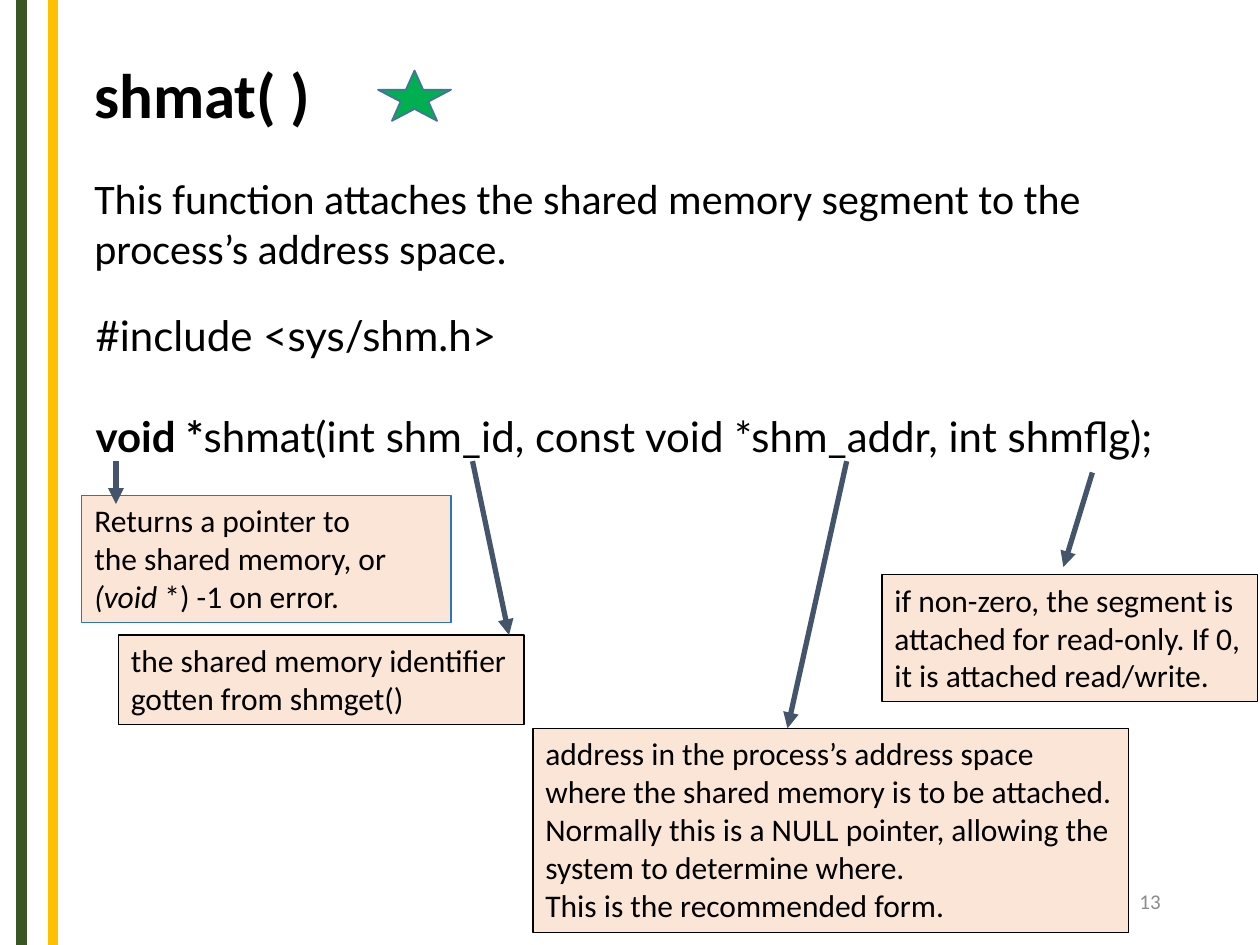
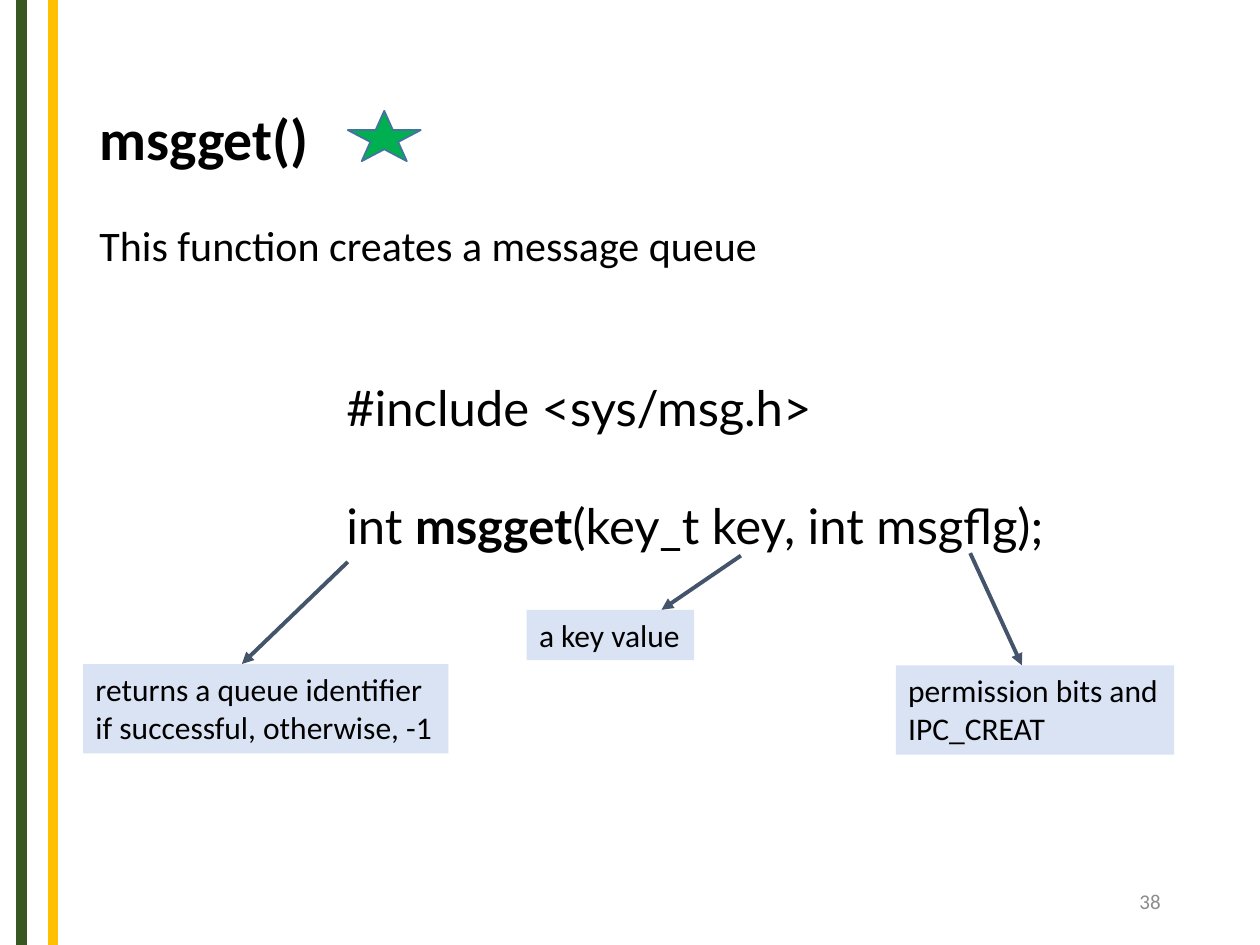
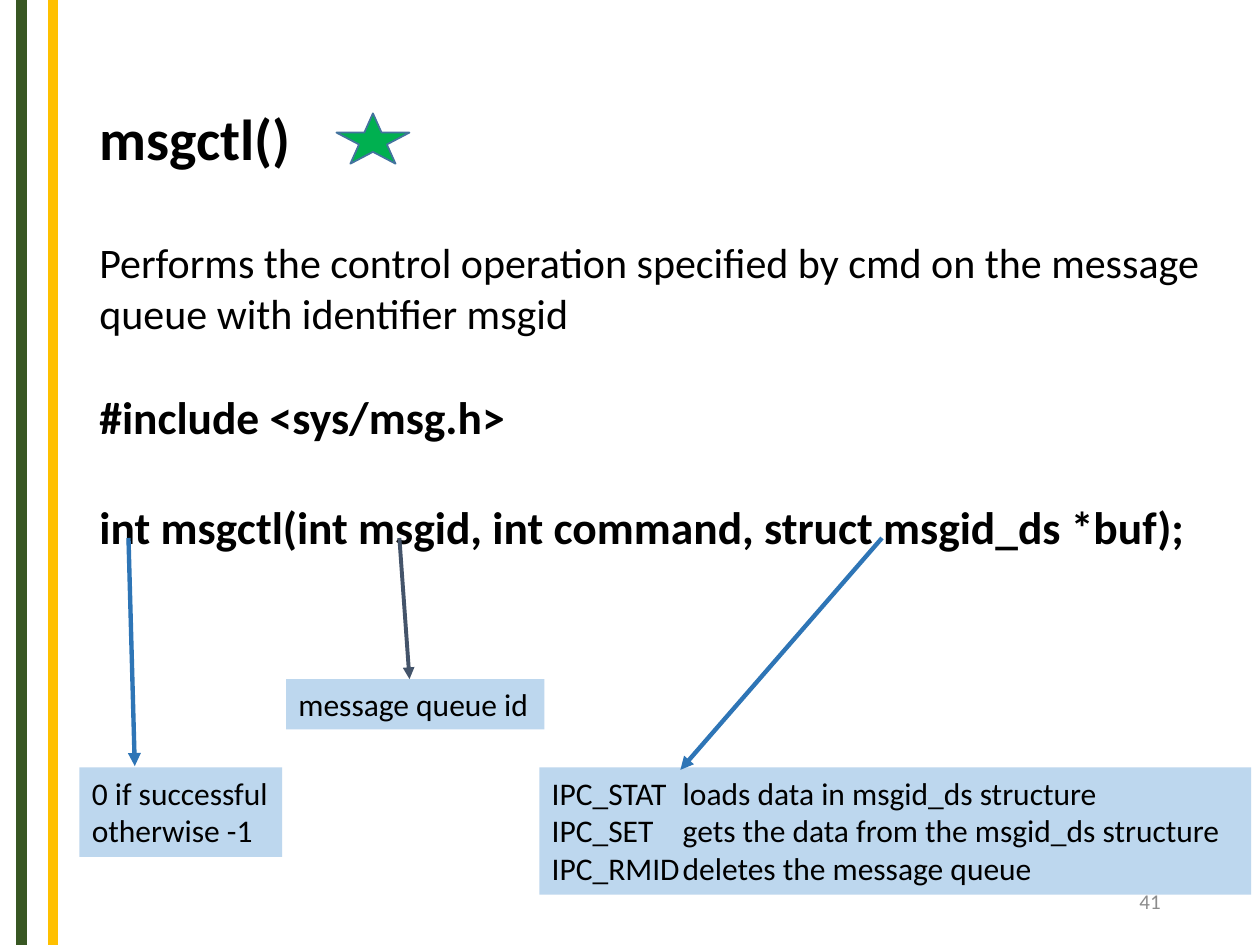
from dataclasses import dataclass, field

from lxml import etree
from pptx import Presentation
from pptx.dml.color import RGBColor
from pptx.enum.shapes import MSO_CONNECTOR as CONN, MSO_SHAPE as SHAPE
from pptx.enum.text import MSO_ANCHOR as ANCHOR, PP_ALIGN as ALIGN
from pptx.oxml.ns import qn
from pptx.util import Inches, Pt

BLACK, GREY, SLATE, BLUE = "000000", "8C8C8C", "44546A", "2E75B6"
GREEN_BAND, GOLD_BAND = "385723", "FFC000"
STAR_FILL, STAR_LINE = "00B050", "43739E"
PEACH, PALE_BLUE, SKY = "FBE5D6", "DAE3F3", "BDD7EE"
PAGE_W, PAGE_H = 10, 7.5
BODY = {"name": "Calibri", "size": Pt(24), "bold": False}
TITLE = {**BODY, "size": Pt(36), "bold": True}
NOTE = {**BODY, "size": Pt(18)}
NUMBER = {**BODY, "size": Pt(12)}
CODE = {**BODY, "name": "Lato"}


@dataclass
class Line:
    """One paragraph: plain text, or a list of (text, font changes)."""
    runs: object
    gap: float = 0
    fmt: dict = field(default_factory=dict)


def rgb(hex_color):
    return RGBColor.from_string(hex_color)


def inches(values):
    return [Inches(v) for v in values]


def write(sp, lines, fmt, color=BLACK, anchor=ANCHOR.TOP, align=ALIGN.LEFT,
          spacing=1.0):
    tf = sp.text_frame
    tf.word_wrap = True
    tf.vertical_anchor = anchor
    for i, line in enumerate(lines):
        line = line if isinstance(line, Line) else Line(line)
        p = tf.paragraphs[0] if i == 0 else tf.add_paragraph()
        p.alignment, p.line_spacing = align, spacing
        p.space_before = Pt(line.gap)
        runs = [(line.runs, {})] if isinstance(line.runs, str) else line.runs
        for text, changes in runs:
            r = p.add_run()
            r.text = text
            r.font.color.rgb = rgb(color)
            for key, value in {**fmt, **line.fmt, **changes}.items():
                setattr(r.font, key, value)


def text_box(slide, box, lines, fmt=BODY, **options):
    write(slide.shapes.add_textbox(*inches(box)), lines, fmt, **options)


def filled_shape(slide, kind, box, fill, line=None, width=0.75):
    sp = slide.shapes.add_shape(kind, *inches(box))
    sp.shadow.inherit = False
    sp.fill.solid()
    sp.fill.fore_color.rgb = rgb(fill)
    if line:
        sp.line.color.rgb = rgb(line)
        sp.line.width = Pt(width)
    else:
        sp.line.fill.background()
    return sp


def straight_line(slide, start, end, color, width, arrow=False):
    c = slide.shapes.add_connector(CONN.STRAIGHT, *inches((*start, *end)))
    c.line.color.rgb = rgb(color)
    c.line.width = Pt(width)
    if arrow:
        etree.SubElement(c.line._get_or_add_ln(), qn("a:tailEnd"), type="triangle")
    etree.SubElement(c._element.spPr, qn("a:effectLst"))


def set_tab(sp, position):
    for p in sp.text_frame.paragraphs:
        tabs = etree.SubElement(p._p.get_or_add_pPr(), qn("a:tabLst"))
        etree.SubElement(tabs, qn("a:tab"), pos=str(Inches(position)), algn="l")


def note(slide, box, lines, fill, start, tip, line=None, arrow=SLATE, width=2.25,
         tab=None):
    """Callout with an arrow from start to tip, the tip measured from the box."""
    sp = filled_shape(slide, SHAPE.RECTANGLE, box, fill, line)
    write(sp, lines, NOTE)
    if tab:
        set_tab(sp, tab)
    end = box[0] + tip[0], box[1] + tip[1]
    straight_line(slide, start, end, arrow, width, arrow=True)


def bands(slide):
    for x, color in ((0.17, GREEN_BAND), (0.42, GOLD_BAND)):
        straight_line(slide, (x, 0), (x, PAGE_H), color, 6)


def heading(slide, left, top, text, star_offset, size=33):
    text_box(slide, (left, top, 8.62, 1.45), [text], {**TITLE, "size": Pt(size)},
             anchor=ANCHOR.MIDDLE, spacing=0.9)
    dx, dy = star_offset
    filled_shape(slide, SHAPE.STAR_5_POINT, (left + dx, top + dy, 0.58, 0.4),
                 STAR_FILL, STAR_LINE, 1)


def new_slide(prs, number):
    slide = prs.slides.add_slide(prs.slide_layouts[6])
    bands(slide)
    text_box(slide, (7.06, 6.95, 2.25, 0.4), [number], NUMBER, color=GREY,
             anchor=ANCHOR.MIDDLE, align=ALIGN.RIGHT)
    return slide


def shmat_slide(prs):
    s = new_slide(prs, "13")
    heading(s, 0.65, 0.05, "shmat( )", (2.35, 0.51), size=36)
    text_box(s, (0.65, 1.32, 8.27, 0.91), [
        "This function attaches the shared memory segment to the process’s address space."])
    text_box(s, (0.66, 2.41, 9.18, 1.31), [
        "#include <sys/shm.h>",
        Line([("void *", {"bold": True}),
              ("shmat(int shm_id, const void *shm_addr, int shmflg);", {})], gap=28.8),
    ], CODE)

    # Return value and arguments
    for box, start, tip, border, lines in (
        ((0.94, 5.04, 3.22, 0.71), (3.75, 3.66), (3.1, 0), BLACK,
         ["the shared memory identifier", "gotten from shmget()"]),
        ((4.23, 5.78, 4.73, 1.62), (6.72, 3.66), (2.02, 0), BLACK,
         ["address in the process’s address space where the shared memory is to be "
          "attached. Normally this is a NULL pointer, allowing the",
          "system to determine where.", "This is the recommended form."]),
        ((0.65, 3.93, 2.93, 1.01), (0.92, 3.66), (0.27, 0.07), BLUE,
         ["Returns a pointer to", "the shared memory, or",
          Line([("(void ", {"italic": True}), ("*) -1 on error.", {})])]),
        ((7, 4.56, 2.98, 1.01), (8.67, 3.75), (1.44, -0.06), BLACK,
         ["if non-zero, the segment is", "attached for read-only. If 0,",
          "it is attached read/write."]),
    ):
        note(s, box, lines, PEACH, start, tip, line=border, width=3)


def msgget_slide(prs):
    s = new_slide(prs, "38")
    heading(s, 0.69, 0.4, "msgget()", (2.07, 0.48))
    text_box(s, (0.69, 1.69, 5.48, 0.5), ["This function creates a message queue"])
    text_box(s, (2.65, 2.95, 6.26, 1.51), [
        "#include <sys/msg.h>",
        Line([("int ", {}), ("msgget", {"bold": True}),
              ("(key_t key, int msgflg);", {})], gap=33.6),
    ], {**CODE, "size": Pt(28)})

    # Return value and arguments
    for box, start, tip, lines in (
        ((0.66, 5.27, 2.9, 0.71), (2.76, 4.46), (1.26, 0),
         ["returns a queue identifier", "if successful, otherwise, -1"]),
        ((4.18, 4.84, 1.33, 0.4), (5.88, 4.41), (1.07, 0), ["a key value"]),
        ((7.11, 5.28, 2.21, 0.71), (7.7, 4.39), (1, 0),
         ["permission bits and", "IPC_CREAT"]),
    ):
        note(s, box, lines, PALE_BLUE, start, tip)


def msgctl_slide(prs):
    s = new_slide(prs, "41")
    heading(s, 0.69, 0.4, "msgctl()", (1.98, 0.5))
    code = {"size": Pt(26), "bold": True}
    text_box(s, (0.69, 1.83, 9.31, 2.63), [
        "Performs the control operation specified by cmd on the message",
        "queue with identifier msgid",
        Line("#include <sys/msg.h>", 29.3, code),
        Line("int msgctl(int msgid, int command, struct msgid_ds *buf);", 31.7, code),
    ])

    # Return value, queue and commands
    thick_blue = {"arrow": BLUE, "width": 2.5}
    note(s, (0.63, 6.09, 1.61, 0.71), ["0 if successful", "otherwise -1"], SKY,
         (1.02, 4.27), (0.44, -0.01), **thick_blue)
    note(s, (2.27, 5.39, 2.05, 0.4), ["message queue id"], SKY, (3.17, 4.27), (0.98, 0))
    note(s, (4.28, 6.09, 5.65, 1.01), [
        "IPC_STAT\tloads data in msgid_ds structure",
        "IPC_SET\tgets the data from the msgid_ds structure",
        "IPC_RMID\tdeletes the message queue",
    ], SKY, (7, 4.27), (1.12, 0.02), tab=1.04, **thick_blue)


def main():
    prs = Presentation()
    prs.slide_width, prs.slide_height = inches((PAGE_W, PAGE_H))
    for build in (shmat_slide, msgget_slide, msgctl_slide):
        build(prs)
    prs.save("out.pptx")


if __name__ == "__main__":
    main()
